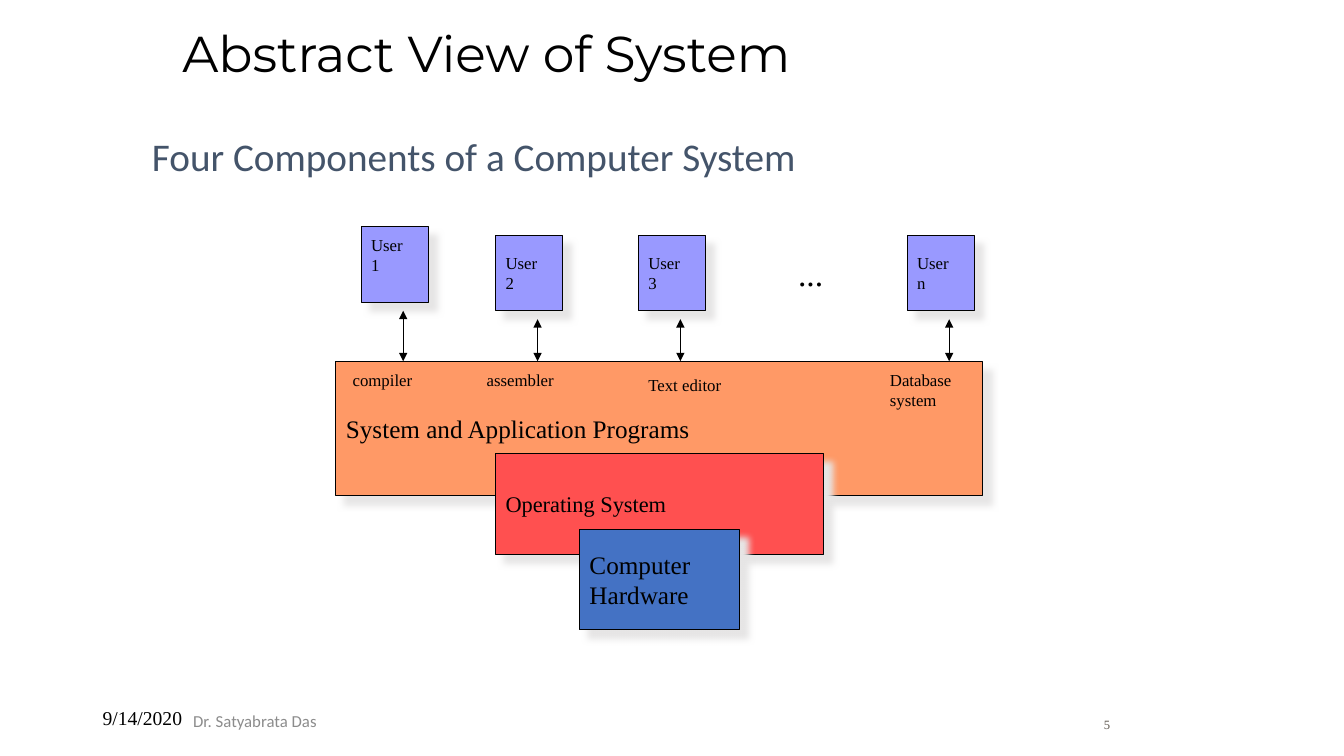
from lxml.etree import SubElement
from pptx import Presentation
from pptx.dml.color import RGBColor
from pptx.enum.shapes import MSO_CONNECTOR, MSO_SHAPE
from pptx.enum.text import MSO_ANCHOR, MSO_AUTO_SIZE, PP_ALIGN
from pptx.oxml.ns import qn
from pptx.util import Pt

theme = {
    "ink": "000000", "navy": "44546A", "gray": "8C8C8C", "brown": "5E574E",
    "user": "9999FF", "apps": "FF9966", "system": "FF5050", "metal": "4472C4",
    "shade": "E7E6E6",
    "head": 36, "sub": 28, "dots": 24, "large": 18, "mid": 16, "date": 14,
    "small": 12, "page": 9,
    "serif": "Times New Roman", "sans": "Calibri", "title": "Montserrat",
}


def write(shape, lines, size, font="serif", color="ink",
          align=PP_ALIGN.LEFT, anchor=MSO_ANCHOR.MIDDLE):
    frame = shape.text_frame
    frame.word_wrap = True
    frame.auto_size = MSO_AUTO_SIZE.NONE
    frame.vertical_anchor = anchor
    for i, line in enumerate(lines):
        para = frame.add_paragraph() if i else frame.paragraphs[0]
        para.alignment = align
        run = para.add_run()
        run.text = line
        run.font.size = Pt(theme[size])
        run.font.name = theme[font]
        run.font.color.rgb = RGBColor.from_string(theme[color])
    return frame


def block(left, top, width, height, fill, lines, size):
    shape = slide.shapes.add_shape(
        MSO_SHAPE.RECTANGLE, Pt(left), Pt(top), Pt(width), Pt(height))
    shape.fill.solid()
    shape.fill.fore_color.rgb = RGBColor.from_string(theme[fill])
    shape.line.color.rgb = RGBColor.from_string(theme["ink"])
    shape.line.width = Pt(0.75)
    shape.shadow.inherit = False
    effects = shape._element.spPr.find(qn("a:effectLst"))
    shade = SubElement(effects, qn("a:outerShdw"), blurRad=str(Pt(5)),
                       dist=str(Pt(8.5)), dir="2700000", algn="ctr", rotWithShape="0")
    SubElement(shade, qn("a:srgbClr"), val=theme["shade"])
    return write(shape, lines, size)


deck = Presentation()
deck.slide_width, deck.slide_height = Pt(960), Pt(540)
slide = deck.slides.add_slide(deck.slide_layouts[5])

title = slide.shapes.title
title.left, title.top, title.width, title.height = Pt(123), Pt(-5), Pt(612), Pt(90)
frame = write(title, ["Abstract View of System"], "head", "title")
frame.paragraphs[0].line_spacing = 0.9

block(240, 258, 462, 96, "apps", ["System and Application Programs"], "large")
block(354, 324, 234, 72, "system", ["Operating System"], "mid")
block(414, 378, 114, 72, "metal", ["Computer", "Hardware"], "large")

users = [("1", 258, 162), ("2", 354, 168), ("3", 456, 168), ("n", 648, 168)]
for name, left, top in users:
    frame = block(left, top, 48, 54, "user", ["User", name], "small")
    if name == "1":
        frame.margin_bottom = Pt(17.4)
    arrow = slide.shapes.add_connector(
        MSO_CONNECTOR.STRAIGHT, Pt(left + 30), Pt(top + 60), Pt(left + 30), Pt(258))
    arrow.line.color.rgb = RGBColor.from_string(theme["ink"])
    arrow.line.width = Pt(0.75)
    line = arrow.line._get_or_add_ln()
    for end in ("a:headEnd", "a:tailEnd"):
        SubElement(line, qn(end), type="triangle")
    SubElement(arrow._element.spPr, qn("a:effectLst"))

left, mid, right = PP_ALIGN.LEFT, PP_ALIGN.CENTER, PP_ALIGN.RIGHT
high, center, low = MSO_ANCHOR.TOP, MSO_ANCHOR.MIDDLE, MSO_ANCHOR.BOTTOM
notes = [
    (244.8, 260.6, 62, 22, ["compiler"], "small", "serif", "ink", left, high),
    (340.6, 260.6, 66, 22, ["assembler"], "small", "serif", "ink", left, high),
    (456, 264, 70, 22, ["Text editor"], "small", "serif", "ink", left, high),
    (628.6, 260.6, 62, 36, ["Database", "system"], "small", "serif", "ink", left, high),
    (563, 177, 36, 36, ["..."], "dots", "serif", "ink", left, high),
    (101.5, 88.6, 648, 45.4, ["Four Components of a Computer System"],
     "sub", "sans", "navy", left, center),
    (66.2, 500.4, 216, 28.8, ["9/14/2020"], "date", "serif", "ink", left, high),
    (82.8, 500.4, 198.7, 28.8, ["Dr. Satyabrata Das"],
     "small", "sans", "gray", mid, center),
    (650.2, 490.3, 149.8, 36, ["5"], "page", "serif", "brown", right, low),
]
for x, y, width, height, *text in notes:
    box = slide.shapes.add_textbox(Pt(x), Pt(y), Pt(width), Pt(height))
    write(box, *text)

deck.save("out.pptx")
